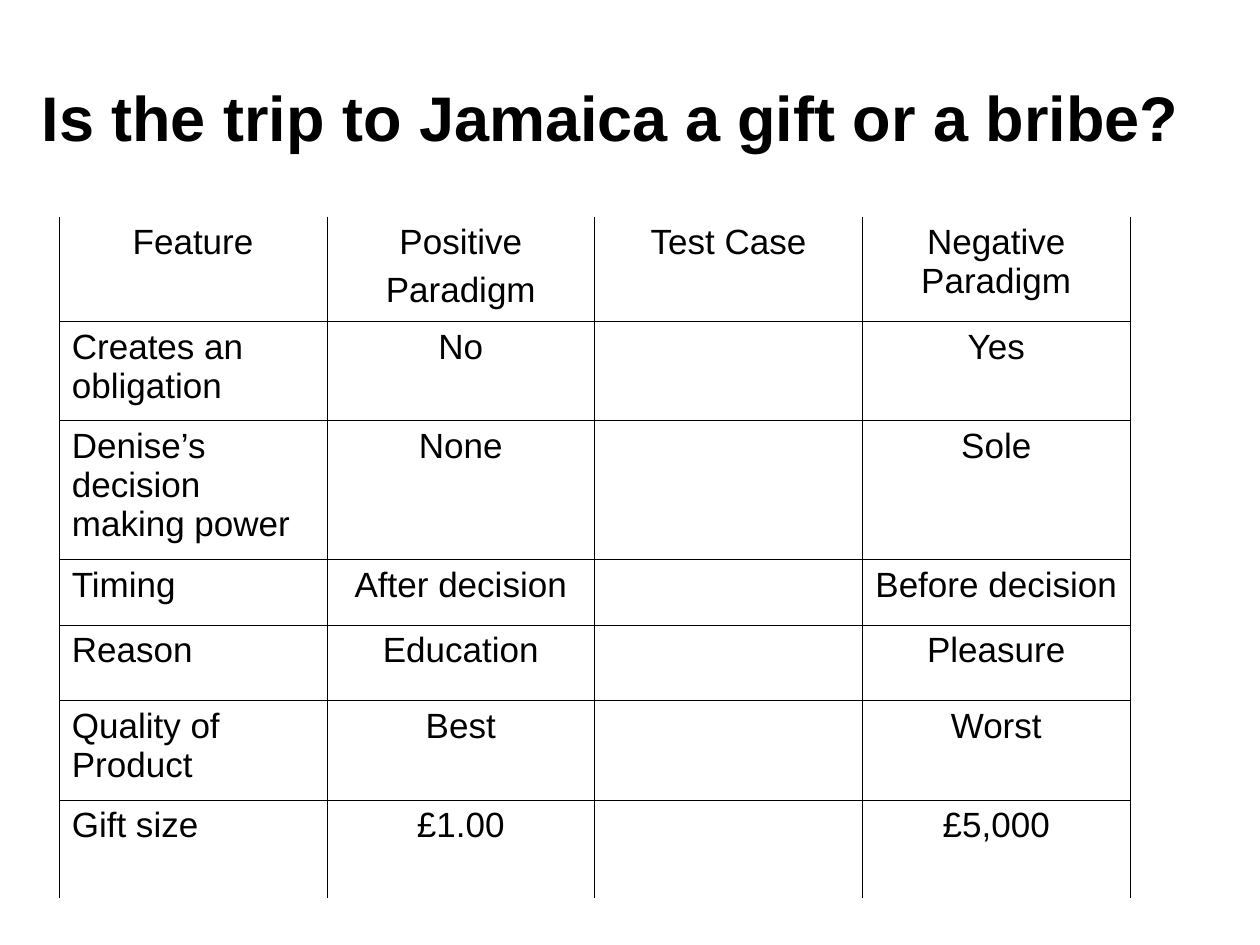
from lxml import etree
from pptx import Presentation
from pptx.dml.color import RGBColor
from pptx.enum import text
from pptx.oxml import ns
from pptx.util import Inches, Pt

TITLE = "Is the trip to Jamaica a gift or a bribe?"
# Each row: height in inches, then its cells; a line break starts a new paragraph.
ROWS = [
    (0.83, ["Feature", "Positive\nParadigm", "Test Case", "Negative Paradigm"]),
    (0.79, ["Creates an obligation", "No", "", "Yes"]),
    (1.10, ["Denise’s decision making power", "None", "", "Sole"]),
    (0.52, ["Timing", "After decision", "", "Before decision"]),
    (0.60, ["Reason", "Education", "", "Pleasure"]),
    (0.79, ["Quality of Product", "Best", "", "Worst"]),
    (0.78, ["Gift size", "£1.00", "", "£5,000"]),
]
THEME = {"font": "Arial", "ink": "000000", "title": 36, "body": 20,
         "gap": 5, "border": 0.45}
LEFT, TOP, WIDTH = 0.47, 1.72, 8.5


def add_run(p, words, size, bold=False):
    r = p.add_run()
    r.text = words
    r.font.name = THEME["font"]
    r.font.size = Pt(size)
    r.font.bold = bold
    r.font.color.rgb = RGBColor.from_string(THEME["ink"])


def set_borders(cell, hidden):
    """Rule the four sides of a cell, leaving the hidden sides blank."""
    tc_pr = cell._tc.get_or_add_tcPr()
    for i, side in enumerate("LRTB"):
        ln = etree.Element(ns.qn(f"a:ln{side}"), w=str(Pt(THEME["border"])))
        if side in hidden:
            etree.SubElement(ln, ns.qn("a:noFill"))
        else:
            fill = etree.SubElement(ln, ns.qn("a:solidFill"))
            etree.SubElement(fill, ns.qn("a:srgbClr"), val=THEME["ink"])
        tc_pr.insert(i, ln)


def fill_cell(cell, words, align):
    cell.fill.background()
    cell.margin_left = cell.margin_right = Inches(0.1)
    cell.margin_top = cell.margin_bottom = Inches(0.05)
    tf = cell.text_frame
    for i, line in enumerate(words.split("\n")):
        p = tf.add_paragraph() if i else tf.paragraphs[0]
        p.alignment = align
        p.font.size = Pt(THEME["body"])
        if i:
            p.space_before = Pt(THEME["gap"])
        if line:
            add_run(p, line, THEME["body"])


def add_title(s):
    sp = s.shapes.title
    sp.left, sp.top = Inches(0), Inches(0.3)
    sp.width, sp.height = Inches(9.69), Inches(1.25)
    tf = sp.text_frame
    tf.word_wrap = True
    tf.vertical_anchor = text.MSO_ANCHOR.MIDDLE
    p = tf.paragraphs[0]
    p.alignment = text.PP_ALIGN.CENTER
    add_run(p, TITLE, THEME["title"], bold=True)


def add_feature_table(s):
    n_cols = len(ROWS[0][1])
    height = sum(h for h, _ in ROWS)
    table = s.shapes.add_table(len(ROWS), n_cols, Inches(LEFT), Inches(TOP),
                               Inches(WIDTH), Inches(height)).table
    table.first_row = table.horz_banding = False
    for col in table.columns:
        col.width = Inches(WIDTH / n_cols)
    last = len(ROWS) - 1
    for i, (row_height, cells) in enumerate(ROWS):
        table.rows[i].height = Inches(row_height)
        hidden = {0: "T", last: "B"}.get(i, "")
        for j, words in enumerate(cells):
            is_label = i > 0 and j == 0
            align = text.PP_ALIGN.LEFT if is_label else text.PP_ALIGN.CENTER
            fill_cell(table.cell(i, j), words, align)
            set_borders(table.cell(i, j), hidden)


def main():
    prs = Presentation()
    prs.slide_width, prs.slide_height = Inches(10), Inches(7.5)
    s = prs.slides.add_slide(prs.slide_layouts[5])
    add_title(s)
    add_feature_table(s)
    prs.save("out.pptx")


if __name__ == "__main__":
    main()
